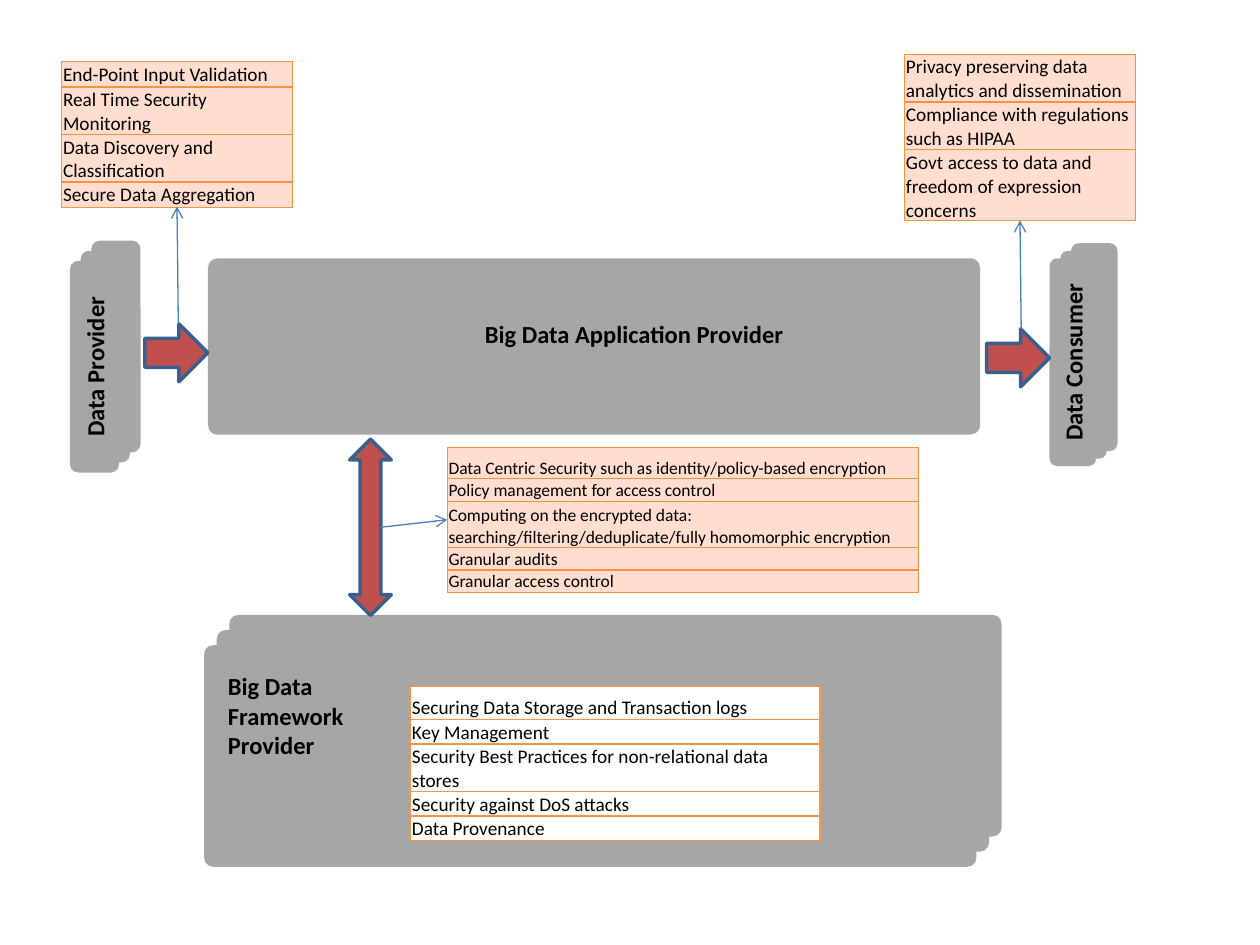
from collections import namedtuple

from lxml import etree
from pptx import Presentation
from pptx import util as u
from pptx.dml.color import RGBColor
from pptx.enum import shapes, text
from pptx.oxml import ns

COLUMN = ROW = u.Inches(0.1)
COLUMNS, ROWS = 100, 75

GRAY = RGBColor(0xA6, 0xA6, 0xA6)
RED = RGBColor(0xC0, 0x50, 0x4D)
NAVY = RGBColor(0x3A, 0x5F, 0x8C)
BLUE = RGBColor(0x4B, 0x7E, 0xBC)
PEACH = RGBColor(0xFF, 0xDD, 0xCF)
ORANGE = RGBColor(0xF6, 0x92, 0x40)
DEEP_ORANGE = RGBColor(0xF7, 0x96, 0x46)
WHITE = RGBColor(0xFF, 0xFF, 0xFF)
BLACK = RGBColor(0, 0, 0)
FONT = "Calibri"

Box = namedtuple("Box", "left top width height")


def to_emu(box):
    return (round(box.left * COLUMN), round(box.top * ROW),
            round(box.width * COLUMN), round(box.height * ROW))


def format_text(text_frame, size, bold=False, align=None):
    for paragraph in text_frame.paragraphs:
        paragraph.alignment = align
        for run in paragraph.runs:
            run.font.name = FONT
            run.font.size = u.Pt(size)
            run.font.bold = bold
            run.font.color.rgb = BLACK


def add_solid(slide, kind, box, fill, rotation=0):
    if rotation in (90, 270):
        turn = (box.width - box.height) / 2
        box = Box(box.left + turn, box.top - turn, box.height, box.width)
    shape = slide.shapes.add_shape(kind, *to_emu(box))
    shape.rotation = rotation
    shape.shadow.inherit = False
    shape.fill.solid()
    shape.fill.fore_color.rgb = fill
    shape.line.fill.background()
    return shape


def add_stack(slide, box, step, count=3, rotation=0, corner=0.167):
    for depth in reversed(range(count)):
        layer = box._replace(left=box.left + depth * step[0],
                             top=box.top - depth * step[1])
        shape = add_solid(slide, shapes.MSO_SHAPE.ROUNDED_RECTANGLE,
                          layer, GRAY, rotation)
        shape.adjustments[0] = corner
    return shape


def add_party(slide, box, step, name):
    front = add_stack(slide, box, step, rotation=270)
    front.text_frame.text = name
    front.text_frame.vertical_anchor = text.MSO_ANCHOR.MIDDLE
    format_text(front.text_frame, 14, True, text.PP_ALIGN.CENTER)


def add_heading(slide, box, words, wrap):
    text_frame = slide.shapes.add_textbox(*to_emu(box)).text_frame
    text_frame.word_wrap = wrap
    text_frame.auto_size = text.MSO_AUTO_SIZE.SHAPE_TO_FIT_TEXT
    text_frame.text = words
    format_text(text_frame, 14, True)


def add_arrow(slide, kind, box, rotation):
    arrow = add_solid(slide, kind, box, RED, rotation)
    arrow.line.color.rgb = NAVY
    arrow.line.width = u.Pt(2)


def add_pointer(slide, start, end):
    x1, y1, x2, y2 = to_emu(Box(*start, *end))
    connector = slide.shapes.add_connector(
        shapes.MSO_CONNECTOR.STRAIGHT, x1, y1, x2, y2)
    connector.line.color.rgb = BLUE
    connector.line.width = u.Pt(0.75)
    properties = connector._element.spPr
    tail = etree.SubElement(properties.find(ns.qn("a:ln")), ns.qn("a:tailEnd"))
    tail.set("type", "arrow")
    etree.SubElement(properties, ns.qn("a:effectLst"))


def set_borders(cell, color, width):
    properties = cell._tc.get_or_add_tcPr()
    for side in ("lnL", "lnR", "lnT", "lnB"):
        line = etree.SubElement(properties, ns.qn(f"a:{side}"), w=str(u.Pt(width)))
        solid = etree.SubElement(line, ns.qn("a:solidFill"))
        etree.SubElement(solid, ns.qn("a:srgbClr"), val=str(color))


def add_measures(slide, box, measures, size=11, fill=PEACH, border=ORANGE, width=0.75):
    table = slide.shapes.add_table(len(measures), 1, *to_emu(box)).table
    table.first_row = table.horz_banding = False
    for index, (words, height) in enumerate(measures):
        table.rows[index].height = round(height * ROW)
        cell = table.cell(index, 0)
        set_borders(cell, border, width)
        cell.fill.solid()
        cell.fill.fore_color.rgb = fill
        cell.margin_left = cell.margin_right = cell.margin_top = u.Inches(0.01)
        cell.margin_bottom = 0
        cell.vertical_anchor = text.MSO_ANCHOR.BOTTOM
        cell.text_frame.text = words
        format_text(cell.text_frame, size)


def add_application(slide, box):
    add_stack(slide, box, (0, 0), count=1, corner=0.056)
    heading = Box(box.left + 21, box.top + 4.3, 25.9, 3.4)
    add_heading(slide, heading, "Big Data Application Provider", False)


def add_framework(slide, box):
    add_stack(slide, box, (1, 1.2), corner=0.041)
    heading = Box(box.left + 0.9, box.top + 1.6, 30.1, 8.1)
    add_heading(slide, heading, "Big Data\nFramework\nProvider", True)
    add_measures(slide, Box(box.left + 16.4, box.top + 3.3, 32.5, 12.1), [
        ("Securing Data Storage and Transaction logs", 2.6),
        ("Key Management", 1.9),
        ("Security Best Practices for non-relational data stores", 3.8),
        ("Security against DoS attacks", 1.9),
        ("Data Provenance", 1.9),
    ], fill=WHITE, border=DEEP_ORANGE, width=1)


def add_flow(slide, arrow_box, table_box, measures):
    add_arrow(slide, shapes.MSO_SHAPE.DOWN_ARROW, arrow_box, 270)
    add_measures(slide, table_box, measures)
    middle = table_box.left + table_box.width / 2
    add_pointer(slide, (middle + 0.1, arrow_box.top),
                (middle, table_box.top + table_box.height))


def add_exchange(slide, arrow_box, table_box):
    add_arrow(slide, shapes.MSO_SHAPE.LEFT_RIGHT_ARROW, arrow_box, 90)
    add_measures(slide, table_box, [
        ("Data Centric Security such as identity/policy-based encryption", 2.5),
        ("Policy management for access control", 1.75),
        ("Computing on the encrypted data: "
         "searching/filtering/deduplicate/fully homomorphic encryption", 3.7),
        ("Granular audits", 1.75),
        ("Granular access control", 1.75),
    ], size=10)
    add_pointer(slide, (30.2, arrow_box.top + arrow_box.height / 2),
                (table_box.left, table_box.top + table_box.height / 2))


def main():
    presentation = Presentation()
    presentation.slide_width = COLUMNS * COLUMN
    presentation.slide_height = ROWS * ROW
    slide = presentation.slides.add_slide(presentation.slide_layouts[6])

    add_application(slide, Box(16.5, 20.5, 61.3, 14))
    add_party(slide, Box(83.3, 20.5, 3.7, 16.5), (0.85, 0.6), "Data Consumer")
    add_party(slide, Box(5.55, 20.7, 3.9, 16.8), (0.85, 0.8), "Data Provider")
    add_framework(slide, Box(16.2, 51.2, 61.3, 17.6))
    add_flow(slide, Box(11.5, 25.7, 5, 4.6), Box(4.9, 4.9, 18.3, 11.5), [
        ("End-Point Input Validation", 2),
        ("Real Time Security Monitoring", 3.75),
        ("Data Discovery and Classification", 3.75),
        ("Secure Data Aggregation", 2),
    ])
    add_flow(slide, Box(78.3, 26.1, 5, 4.6), Box(71.8, 4.3, 18.3, 13.2), [
        ("Privacy preserving data analytics and dissemination", 3.8),
        ("Compliance with regulations such as HIPAA", 3.8),
        ("Govt access to data and freedom of expression concerns", 5.6),
    ])
    add_exchange(slide, Box(27.75, 34.85, 3.3, 14), Box(35.5, 35.5, 37.4, 11.5))
    presentation.save("out.pptx")


if __name__ == "__main__":
    main()
